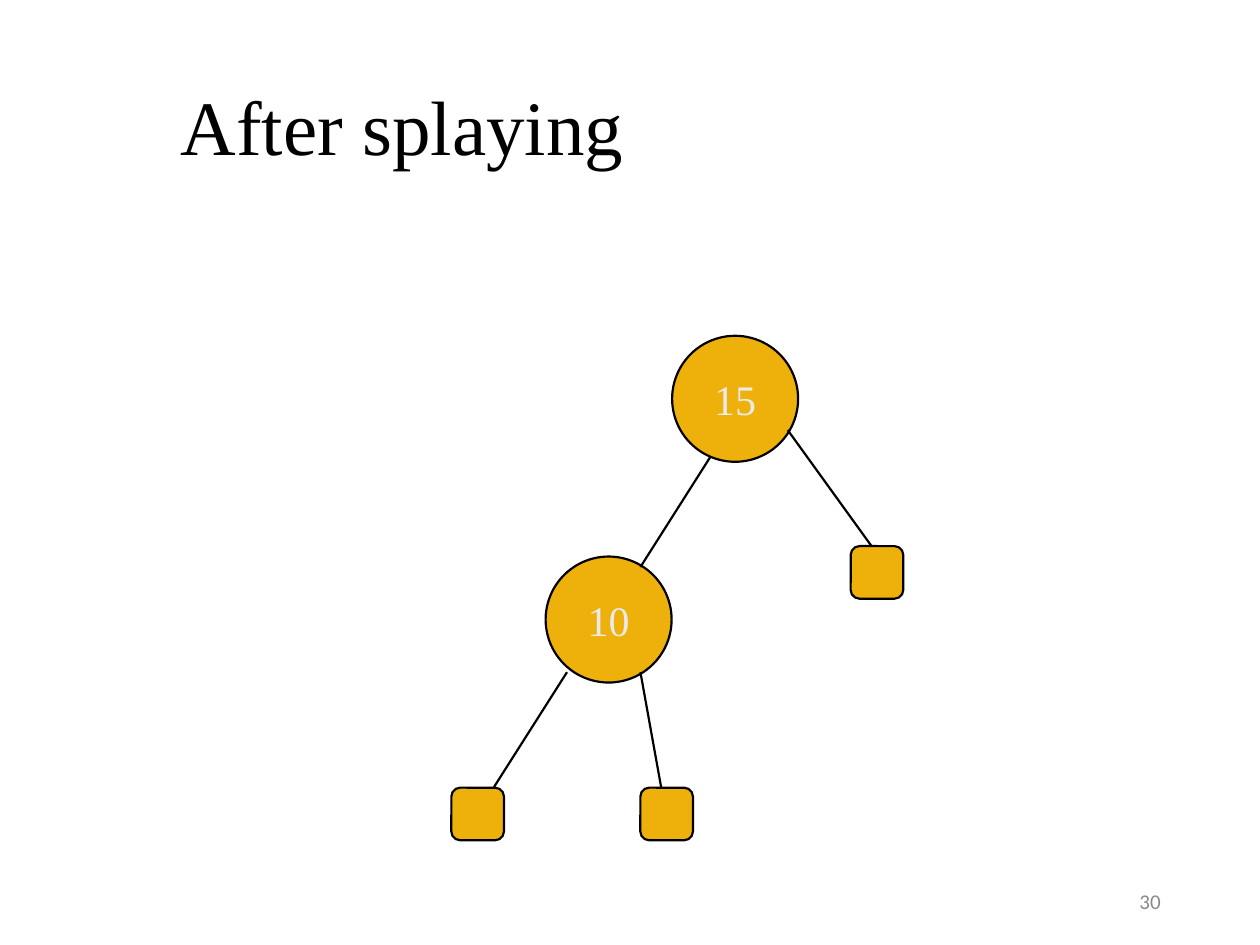
from dataclasses import dataclass

from pptx import Presentation
from pptx.dml.color import RGBColor
from pptx.enum.shapes import MSO_CONNECTOR as Link, MSO_SHAPE as Shape
from pptx.enum.text import MSO_ANCHOR as Anchor, MSO_AUTO_SIZE as Fit, PP_ALIGN as Align
from pptx.oxml.ns import qn
from pptx.slide import Slide
from pptx.util import Cm, Pt


def color(code):
    return RGBColor.from_string(code)


@dataclass
class TreeSlide:
    """Draws a binary tree in one style on the current slide."""

    slide: Slide
    fill: str = "EEB00B"
    ink: str = "000000"
    label_ink: str = "EAEAEA"
    serif: str = "Times New Roman"
    line_width: float = 1.25
    node_size: float = 2.54
    leaf_size: float = 1.06

    def label(self, frame, text, size, ink, font, align, wrap=True):
        frame.text = text
        frame_format = {"word_wrap": wrap, "auto_size": Fit.NONE, "vertical_anchor": Anchor.MIDDLE}
        for name, value in frame_format.items():
            setattr(frame, name, value)
        paragraph = frame.paragraphs[0]
        paragraph.alignment = align
        for name, value in {"size": Pt(size), "name": font}.items():
            setattr(paragraph.font, name, value)
        paragraph.font.color.rgb = color(ink)

    def outline(self, line):
        line.color.rgb = color(self.ink)
        line.width = Pt(self.line_width)

    def title(self, text, left, top, width, height):
        heading = self.slide.shapes.title
        place = {"left": left, "top": top, "width": width, "height": height}
        for name, value in place.items():
            setattr(heading, name, Cm(value))
        self.label(heading.text_frame, text, 44, self.ink, self.serif, Align.LEFT)

    def block(self, kind, left, top, size):
        block = self.slide.shapes.add_shape(kind, Cm(left), Cm(top), Cm(size), Cm(size))
        block.shadow.inherit = False
        block.fill.solid()
        block.fill.fore_color.rgb = color(self.fill)
        self.outline(block.line)
        return block

    def node(self, key, left, top):
        circle = self.block(Shape.OVAL, left, top, self.node_size)
        self.label(circle.text_frame, key, 24, self.label_ink, self.serif, Align.CENTER, False)

    def leaf(self, left, top):
        self.block(Shape.ROUNDED_RECTANGLE, left, top, self.leaf_size)

    def edge(self, *ends):
        branch = self.slide.shapes.add_connector(Link.STRAIGHT, *map(Cm, ends))
        self.outline(branch.line)
        properties = branch._element.spPr
        properties.append(properties.makeelement(qn("a:effectLst"), {}))

    def page_number(self, number, left, top, width, height):
        footer = self.slide.shapes.add_textbox(Cm(left), Cm(top), Cm(width), Cm(height))
        self.label(footer.text_frame, number, 12, "898989", "Calibri", Align.RIGHT)


def main():
    deck = Presentation()
    deck.slide_width, deck.slide_height = Cm(25.4), Cm(19.05)
    tree = TreeSlide(deck.slides.add_slide(deck.slide_layouts[5]))

    tree.title("After splaying", 3.39, 0.85, 21.59, 3.34)
    tree.node("10", 11, 11.22)
    for leaf_place in [(9.1, 15.88), (12.91, 15.88), (17.15, 11.01)]:
        tree.leaf(*leaf_place)
    tree.edge(14.39, 9.1, 12.91, 11.43)
    tree.node("15", 13.55, 6.77)
    leaf_edges = [
        (9.95, 15.88, 11.43, 13.55),
        (17.57, 11.01, 15.88, 8.67),
        (12.91, 13.55, 13.33, 15.88),
    ]
    for ends in leaf_edges:
        tree.edge(*ends)
    tree.page_number("30", 17.93, 17.65, 5.72, 1.02)

    deck.save("out.pptx")


if __name__ == "__main__":
    main()
